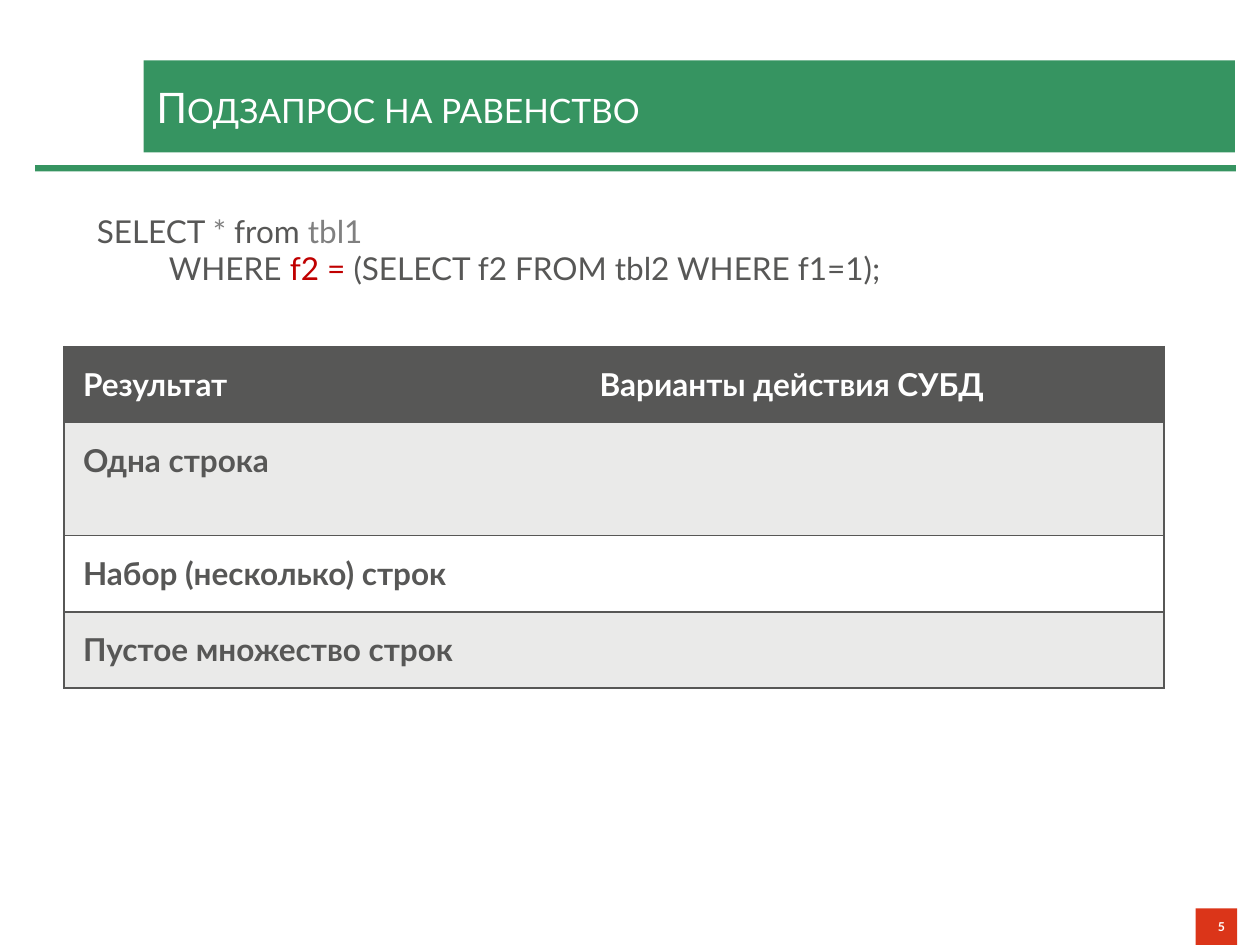
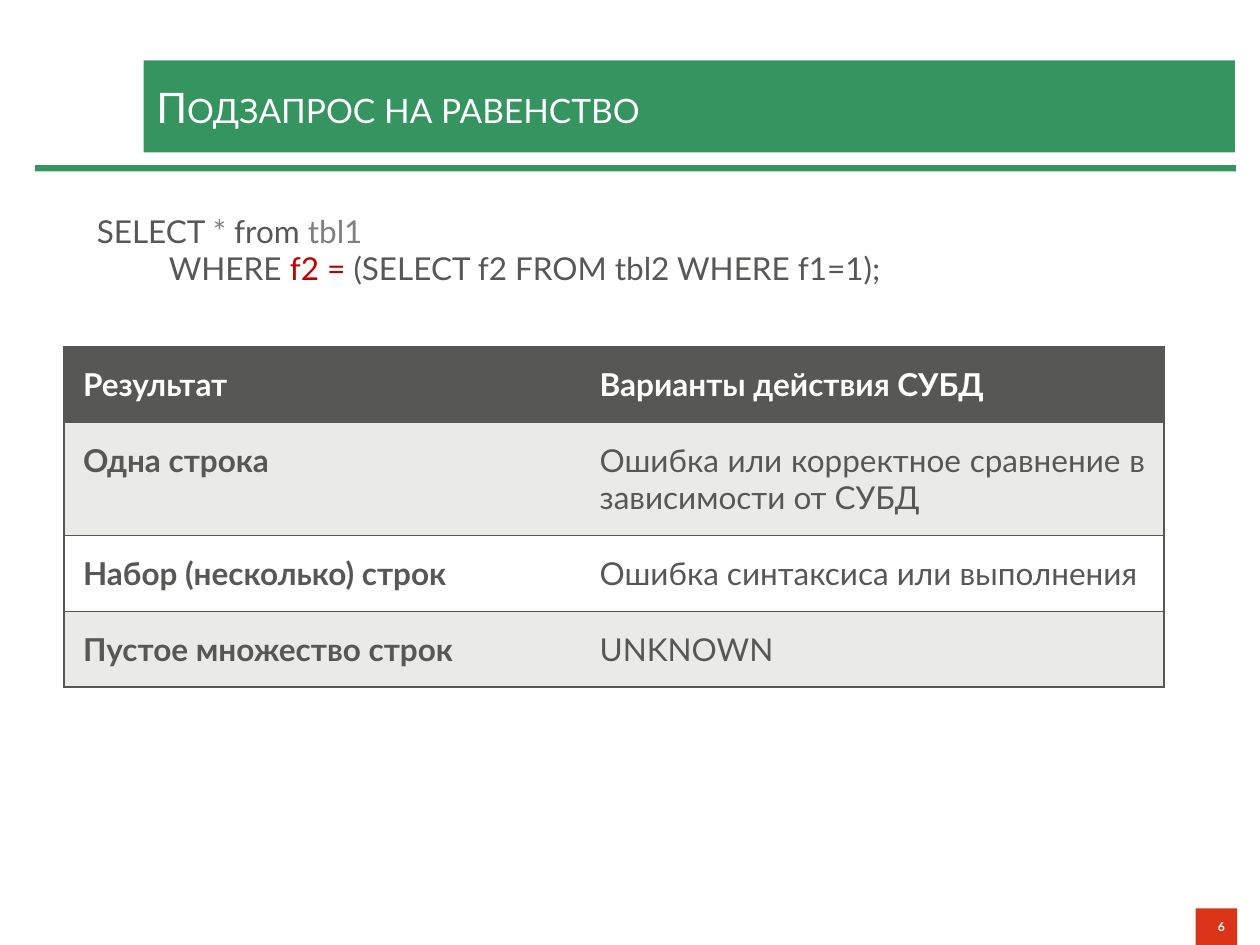
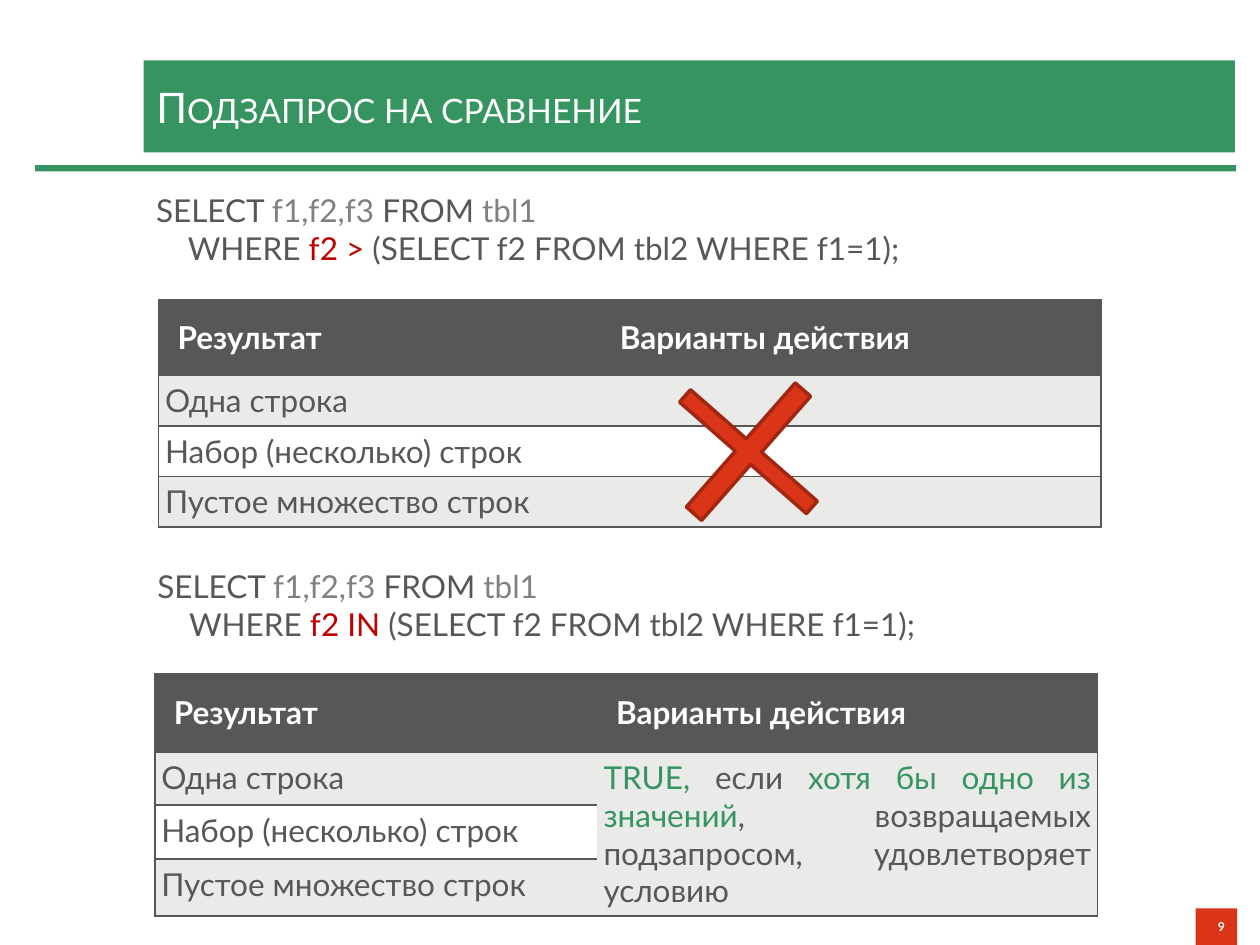
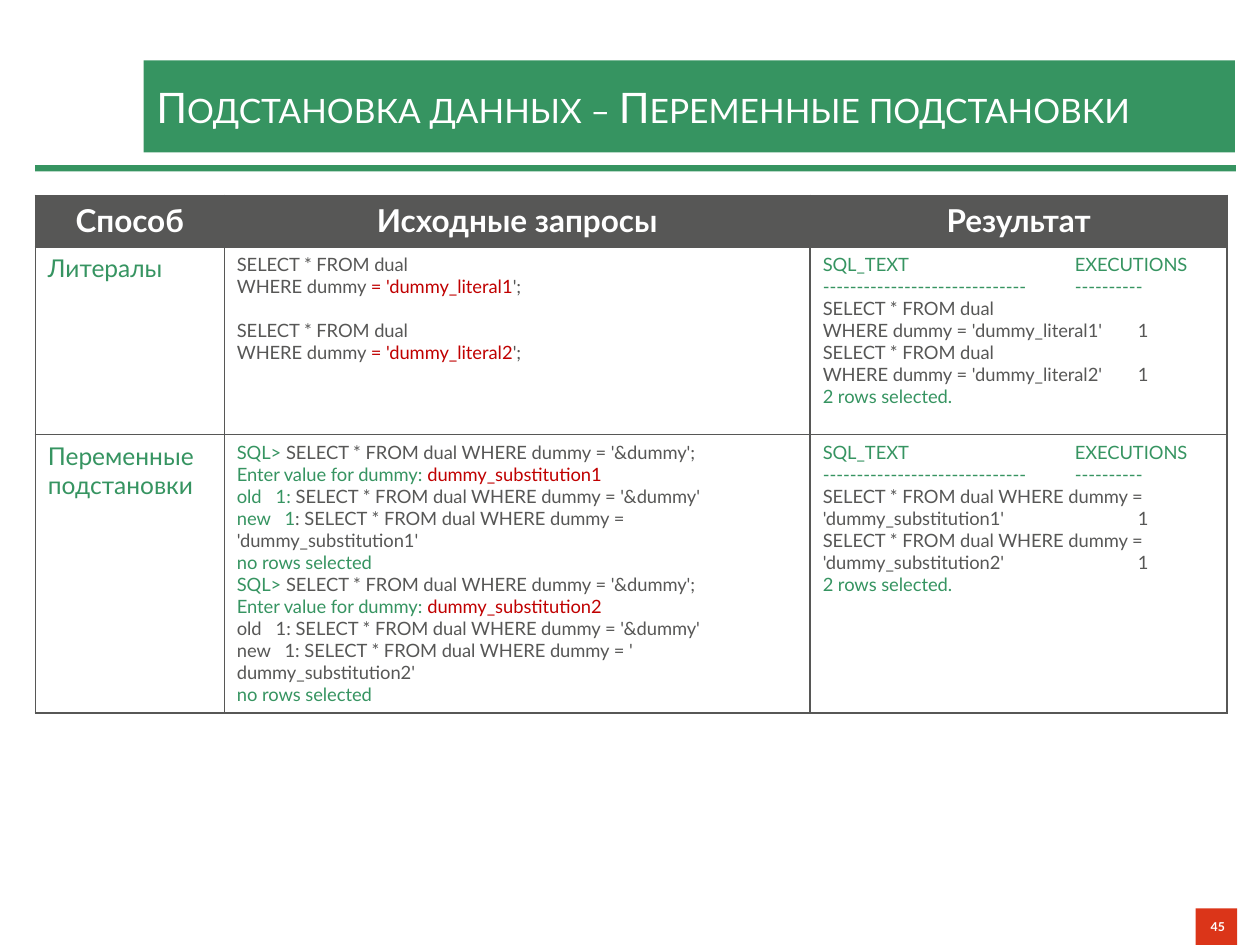
"""Build four slides on SQL subqueries and substitution variables."""
from dataclasses import dataclass

from lxml import etree
from pptx import Presentation
from pptx.dml.color import RGBColor
from pptx.enum import shapes, text
from pptx.oxml import ns
from pptx.util import Inches, Pt

FONT = "Lato"
GREEN = RGBColor(0x36, 0x94, 0x61)
RED = RGBColor(0xDB, 0x35, 0x19)
DARK_RED = RGBColor(0xA2, 0x27, 0x12)
ACCENT = RGBColor(0xC0, 0x00, 0x00)
DARK = RGBColor(0x57, 0x57, 0x56)
GRAY = RGBColor(0x80, 0x80, 0x80)
LIGHT = RGBColor(0xEA, 0xEA, 0xE9)
WHITE = RGBColor(0xFF, 0xFF, 0xFF)

LEFT, CENTER = text.PP_ALIGN.LEFT, text.PP_ALIGN.CENTER
RIGHT, JUSTIFY = text.PP_ALIGN.RIGHT, text.PP_ALIGN.JUSTIFY
MIDDLE = text.MSO_ANCHOR.MIDDLE
PLAIN_TABLE = "{2D5ABB26-0587-4C30-8999-92F81FD0307C}"
RESULTS = ["Одна строка", "Набор (несколько) строк", "Пустое множество строк"]


@dataclass
class Line:
    """One paragraph: (text, colour) runs, an optional tab stop and space above."""
    runs: list
    tab: float = 0
    space_before: float = 0


def line(words, color=DARK, tab=0):
    """Return a line in a single colour."""
    return Line([(words, color)], tab)


def write(frame, lines, size, bold=False, alignment=LEFT):
    """Write the lines into a text frame."""
    for index, item in enumerate(lines):
        paragraph = frame.paragraphs[0] if index == 0 else frame.add_paragraph()
        paragraph.alignment = alignment
        if item.space_before:
            paragraph.space_before = Pt(item.space_before)
        if item.tab:
            stops = etree.SubElement(paragraph._p.get_or_add_pPr(), ns.qn("a:tabLst"))
            etree.SubElement(stops, ns.qn("a:tab"), pos=str(Inches(item.tab)), algn="l")
        font = paragraph.font
        font.name, font.size, font.bold = FONT, Pt(size), bold
        if len(item.runs) == 1:
            font.color.rgb = item.runs[0][1]
        for words, color in item.runs:
            run = paragraph.add_run()
            run.text = words
            if len(item.runs) > 1:
                run.font.color.rgb = color


def place(shape, left, top, width, height):
    """Move and size a shape, in inches."""
    shape.left, shape.top = Inches(left), Inches(top)
    shape.width, shape.height = Inches(width), Inches(height)


def add_block(slide, kind, left, top, width, height, color):
    """Add a filled preset shape without outline or shadow."""
    shape = slide.shapes.add_shape(
        kind, Inches(left), Inches(top), Inches(width), Inches(height))
    shape.shadow.inherit = False
    shape.fill.solid()
    shape.fill.fore_color.rgb = color
    shape.line.fill.background()
    return shape


def add_slide(presentation, title, number):
    """Add a slide with the rule, the title band and the page number."""
    slide = presentation.slides.add_slide(presentation.slide_layouts[5])
    rectangle = shapes.MSO_SHAPE.RECTANGLE
    add_block(slide, rectangle, 0.28, 1.31, 9.53, 0.05, GREEN)
    band = slide.shapes.title
    place(band, 1.14, 0.48, 8.66, 0.73)
    band.fill.solid()
    band.fill.fore_color.rgb = GREEN
    frame = band.text_frame
    frame.auto_size = text.MSO_AUTO_SIZE.NONE
    frame.vertical_anchor = MIDDLE
    frame.margin_top = frame.margin_bottom = Inches(0.12)
    write(frame, [line(title, WHITE)], 24)
    frame.paragraphs[0].runs[0].font._element.set("cap", "small")
    badge = add_block(slide, rectangle, 9.49, 7.21, 0.33, 0.29, RED)
    badge.text_frame.vertical_anchor = MIDDLE
    write(badge.text_frame, [line(str(number), WHITE)], 7, True, RIGHT)
    return slide


def add_query(slide, left, top, fields, condition, indent):
    """Add a two-line query with its condition highlighted."""
    box = slide.shapes.add_textbox(Inches(left), Inches(top), Inches(7.51), Inches(0.71))
    box.text_frame.word_wrap = True
    write(box.text_frame, [
        Line([("SELECT ", DARK), (fields[0], GRAY), (f" {fields[1]} ", DARK), ("tbl1", GRAY)]),
        Line([(" " * indent + "WHERE ", DARK), (f"{condition} ", ACCENT),
              ("(SELECT f2 FROM tbl2 WHERE f1=1);", DARK)]),
    ], 18, alignment=JUSTIFY)


def set_cell(cell, color, sides, margin=None):
    """Give a cell its borders, fill and, if asked, one margin all round."""
    properties = cell._tc.get_or_add_tcPr()
    for side in sides:
        border = etree.SubElement(properties, ns.qn(f"a:ln{side}"), w=str(Pt(1)))
        fill = etree.SubElement(border, ns.qn("a:solidFill"))
        etree.SubElement(fill, ns.qn("a:srgbClr"), val=str(DARK))
    cell.fill.solid()
    cell.fill.fore_color.rgb = color
    if margin:
        cell.margin_left = cell.margin_right = Inches(margin)
        cell.margin_top = cell.margin_bottom = Inches(margin)


def add_grid(slide, left, top, widths, heights):
    """Add an unstyled table with the given column widths and row heights."""
    frame = slide.shapes.add_table(
        len(heights), len(widths), Inches(left), Inches(top),
        Inches(sum(widths)), Inches(sum(heights)))
    next(frame._element.iter(ns.qn("a:tableStyleId"))).text = PLAIN_TABLE
    table = frame.table
    table.first_row = table.horz_banding = False
    for column, width in zip(table.columns, widths):
        column.width = Inches(width)
    for row, height in zip(table.rows, heights):
        row.height = Inches(height)
    return table


def add_results(slide, left, top, widths, heights, heading, actions=(),
                margin=0.15, bold=True):
    """Add a banded table of subquery results and what the DBMS does."""
    table = add_grid(slide, left, top, widths, heights)
    for row in range(len(heights)):
        color = DARK if row == 0 else LIGHT if row % 2 else WHITE
        for column, sides in enumerate(("LTB", "RTB")):
            set_cell(table.cell(row, column), color, sides, margin if row else 0.15)
    for column, words in enumerate(("Результат", heading)):
        write(table.cell(0, column).text_frame, [line(words, WHITE)], 18, True, JUSTIFY)
    for row, words in enumerate(RESULTS, 1):
        write(table.cell(row, 0).text_frame, [line(words)], 18, bold, JUSTIFY)
    for row, action in enumerate(actions, 1):
        write(table.cell(row, 1).text_frame, [action], 18, alignment=JUSTIFY)
    return table


def add_equality(presentation, number, actions=()):
    """Add a slide on the equality subquery."""
    slide = add_slide(presentation, "Подзапрос на равенство", number)
    add_results(slide, 0.51, 2.75, (4.1, 4.63), (0.6, 0.9, 0.6, 0.6),
                "Варианты действия СУБД", actions)
    add_query(slide, 0.67, 1.63, ("*", "from"), "f2 =", 9)


def add_comparison(presentation):
    """Add the slide comparing a greater-than test with IN."""
    slide = add_slide(presentation, "Подзапрос на сравнение", 9)
    fields, widths, heading = ("f1,f2,f3", "FROM"), (3.51, 3.97), "Варианты действия"
    add_query(slide, 1.14, 1.47, fields, "f2 >", 4)
    add_results(slide, 1.26, 2.38, widths, (0.6, 0.4, 0.4, 0.4), heading,
                margin=0.05, bold=False)
    cross = add_block(slide, shapes.MSO_SHAPE.CROSS, 5.27, 2.93, 1.34, 1.31, RED)
    cross.adjustments[0] = 0.45
    cross.rotation = 41.3
    cross.line.color.rgb = DARK_RED
    cross.line.width = Pt(2)
    add_query(slide, 1.15, 4.45, fields, "f2 IN", 4)
    verdict = Line([("TRUE, ", GREEN), ("если ", DARK), ("хотя бы одно из значений", GREEN),
                    (", возвращаемых подзапросом, удовлетворяет условию", DARK)])
    table = add_results(slide, 1.23, 5.35, widths, (0.62, 0.42, 0.43, 0.45), heading,
                        [verdict], margin=0.05, bold=False)
    table.cell(1, 1).merge(table.cell(3, 1))


def literal_query(number, space_before=0):
    """Return the two lines of a query with a literal."""
    return [
        Line([("SELECT * FROM dual", DARK)], space_before=space_before),
        Line([("WHERE dummy ", DARK), (f"= 'dummy_literal{number}", ACCENT), ("';", DARK)]),
    ]


def prompt(number):
    """Return the opening lines of a session with a substitution variable."""
    return [
        Line([("SQL> ", GREEN), ("SELECT * FROM dual WHERE dummy = '&dummy';", DARK)]),
        Line([("Enter value for dummy: ", GREEN), (f"dummy_substitution{number}", ACCENT)]),
    ]


def report(rows):
    """Return the statistics listing around the given rows."""
    return [line("SQL_TEXT\tEXECUTIONS", GREEN, 2),
            line("-" * 30 + "\t" + "-" * 10, GREEN, 2),
            *rows, line("2 rows selected.", GREEN)]


def add_substitution(presentation):
    """Add the slide comparing literals with substitution variables."""
    slide = add_slide(presentation, "Подстановка данных – Переменные подстановки", 45)
    table = add_grid(slide, 0.28, 1.55, (1.5, 4.65, 3.31), (0.41, 1.49, 2.21))
    none_selected = line("no rows selected", GREEN)
    old, new = "SELECT * FROM dual WHERE dummy = '&dummy'", "SELECT * FROM dual WHERE dummy = '"
    session = [
        *prompt(1),
        Line([("old   1: ", GREEN), (old, DARK)]),
        Line([("new   1", GREEN), (f": {new}dummy_substitution1'", DARK)]),
        none_selected,
        *prompt(2),
        line(f"old   1: {old}"),
        line(f"new   1: {new} dummy_substitution2'"),
        none_selected,
    ]
    literal_rows = [item for number in (1, 2) for item in (
        line("SELECT * FROM dual"),
        line(f"WHERE dummy = 'dummy_literal{number}'\t1", tab=2.5))]
    variable_rows = [line(f"{new}dummy_substitution{number}'\t1", tab=2.5)
                     for number in (1, 2)]
    rows = [
        [[line(words, WHITE)] for words in ("Способ", "Исходные запросы", "Результат")],
        [[line("Литералы", GREEN)], literal_query(1) + literal_query(2, 12.6),
         report(literal_rows)],
        [[line("Переменные подстановки", GREEN)], session, report(variable_rows)],
    ]
    for row, cells in enumerate(rows):
        for column, lines in enumerate(cells):
            cell = table.cell(row, column)
            set_cell(cell, WHITE if row else DARK, "LRTB")
            if row == 0:
                write(cell.text_frame, lines, 18, True, CENTER)
            else:
                write(cell.text_frame, lines, 10.5 if column else 14)


def main():
    """Build and save the presentation."""
    presentation = Presentation()
    presentation.slide_width, presentation.slide_height = Inches(10), Inches(7.5)
    add_equality(presentation, 5)
    add_equality(presentation, 6, [
        line("Ошибка или корректное сравнение в зависимости от СУБД"),
        line("Ошибка синтаксиса или выполнения"),
        line("UNKNOWN"),
    ])
    add_comparison(presentation)
    add_substitution(presentation)
    presentation.save("out.pptx")


if __name__ == "__main__":
    main()
